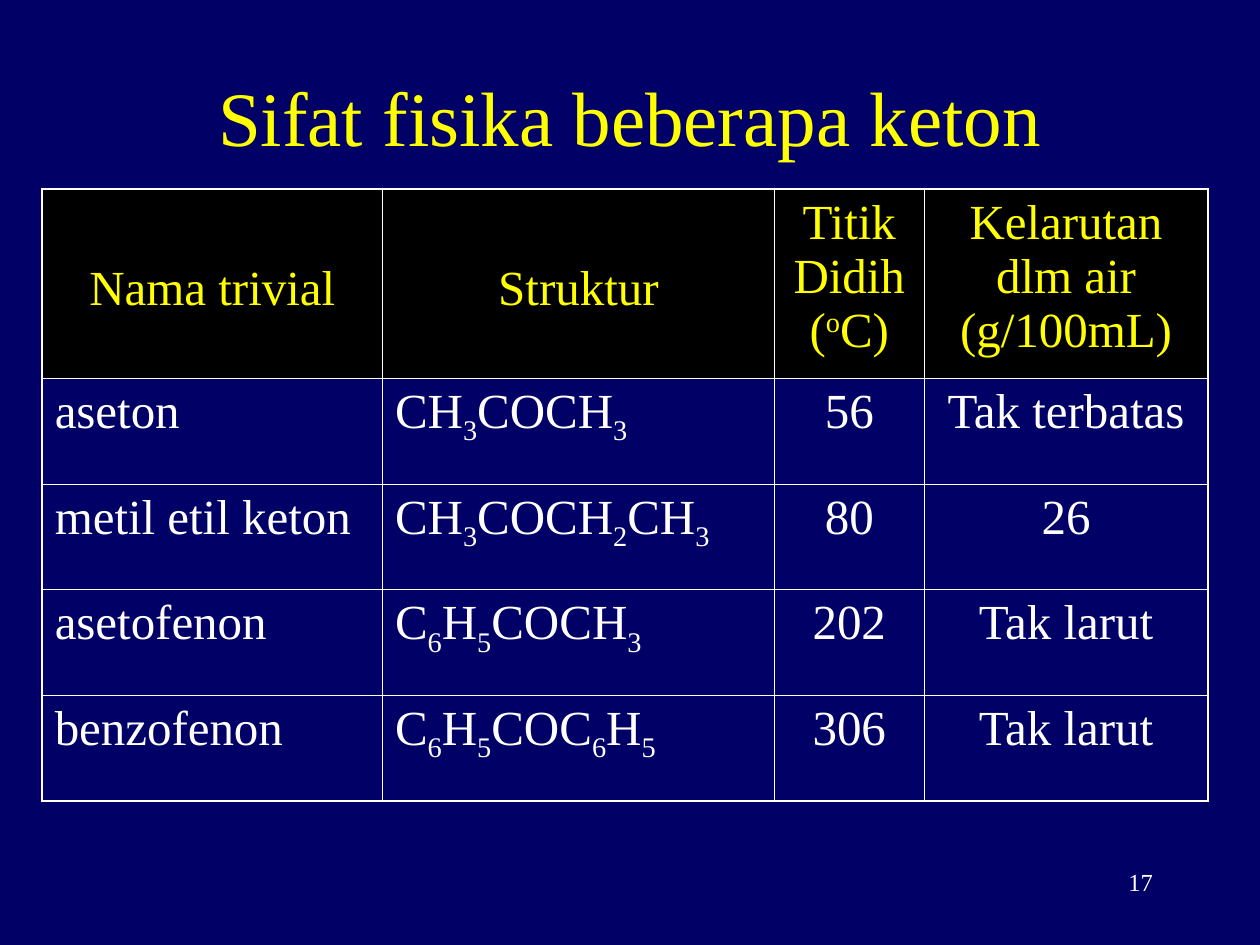
"""Build a slide with a table of physical properties of ketones."""
from lxml import etree
from pptx import Presentation
from pptx import util as u
from pptx.dml.color import RGBColor
from pptx.enum import text
from pptx.oxml import ns

TITLE = "Sifat fisika beberapa keton"
PAGE_NUMBER = "17"
SHIFT_MARK = "|"
ROWS = [
    ("Nama trivial", "Struktur", "Titik Didih (|o|C)", "Kelarutan dlm air (g/100mL)"),
    ("aseton", "CH|3|COCH|3", "56", "Tak terbatas"),
    ("metil etil keton", "CH|3|COCH|2|CH|3", "80", "26"),
    ("asetofenon", "C|6|H|5|COCH|3", "202", "Tak larut"),
    ("benzofenon", "C|6|H|5|COC|6|H|5", "306", "Tak larut"),
]
COLUMN_WIDTHS = [6.86, 7.9, 3.02, 5.72]
ROW_HEIGHTS = [3.81] + [2.13] * 4
CELL_MARGIN_TOP = 0.13
LOWERED_MARGIN_TOP = 1.46

FONT = "Times New Roman"
NAVY = RGBColor(0x00, 0x00, 0x66)
BLACK = RGBColor(0x00, 0x00, 0x00)
YELLOW = RGBColor(0xFF, 0xFF, 0x00)
WHITE = RGBColor(0xFF, 0xFF, 0xFF)


def place(box, left, top, width, height):
    box.left, box.top, box.width, box.height = map(u.Cm, (left, top, width, height))


def style(span, size, color):
    span.font.name = FONT
    span.font.size = u.Pt(size)
    span.font.color.rgb = color


def write_line(box, words, size, color, align):
    para = box.text_frame.paragraphs[0]
    para.text = words
    para.alignment = align
    style(para.runs[0], size, color)


def add_borders(cell, outer_sides):
    properties = cell._tc.get_or_add_tcPr()
    for side in "LRTB":
        width = u.Pt(1.08 if side in outer_sides else 0.45)
        line = etree.SubElement(properties, ns.qn(f"a:ln{side}"), w=str(width))
        fill = etree.SubElement(line, ns.qn("a:solidFill"))
        etree.SubElement(fill, ns.qn("a:srgbClr"), val=str(WHITE))


def fill_cell(cell, words, row, column):
    header = row == 0
    lowered = header and column < 2
    cell.margin_top = u.Cm(LOWERED_MARGIN_TOP if lowered else CELL_MARGIN_TOP)
    para = cell.text_frame.paragraphs[0]
    centered = header or column >= 2
    para.alignment = text.PP_ALIGN.CENTER if centered else text.PP_ALIGN.LEFT
    for index, part in enumerate(words.split(SHIFT_MARK)):
        if not part:
            continue
        span = para.add_run()
        span.text = part
        style(span, 28, YELLOW if header else WHITE)
        if index % 2:
            span._r.get_or_add_rPr().set("baseline", "30000" if header else "-25000")
    edges = {"L": column == 0, "R": column == len(COLUMN_WIDTHS) - 1,
             "T": header, "B": row == len(ROWS) - 1}
    add_borders(cell, [side for side, outer in edges.items() if outer])
    if header:
        cell.fill.solid()
        cell.fill.fore_color.rgb = BLACK
    else:
        cell.fill.background()


def add_ketone_table(page):
    frame = page.shapes.add_table(
        len(ROWS), len(COLUMN_WIDTHS), u.Cm(0.85), u.Cm(3.81),
        u.Cm(sum(COLUMN_WIDTHS)), u.Cm(sum(ROW_HEIGHTS)))
    table = frame.table
    table.first_row = table.horz_banding = False
    for column, width in zip(table.columns, COLUMN_WIDTHS):
        column.width = u.Cm(width)
    for row, height in zip(table.rows, ROW_HEIGHTS):
        row.height = u.Cm(height)
    for row, entries in enumerate(ROWS):
        for column, words in enumerate(entries):
            fill_cell(table.cell(row, column), words, row, column)


def main():
    deck = Presentation()
    deck.slide_width, deck.slide_height = u.Cm(25.4), u.Cm(19.05)
    page = deck.slides.add_slide(deck.slide_layouts[5])
    page.background.fill.solid()
    page.background.fill.fore_color.rgb = NAVY

    number = page.shapes.add_textbox(u.Cm(18.2), u.Cm(17.35), u.Cm(5.29), u.Cm(1.27))
    number.text_frame.word_wrap = True
    write_line(number, PAGE_NUMBER, 14, WHITE, text.PP_ALIGN.RIGHT)

    title = page.shapes.title
    place(title, 1.9, 1.48, 21.6, 1.7)
    title.text_frame.auto_size = text.MSO_AUTO_SIZE.NONE
    title.text_frame.vertical_anchor = text.MSO_ANCHOR.MIDDLE
    write_line(title, TITLE, 44, YELLOW, text.PP_ALIGN.CENTER)

    add_ketone_table(page)
    deck.save("out.pptx")


if __name__ == "__main__":
    main()
